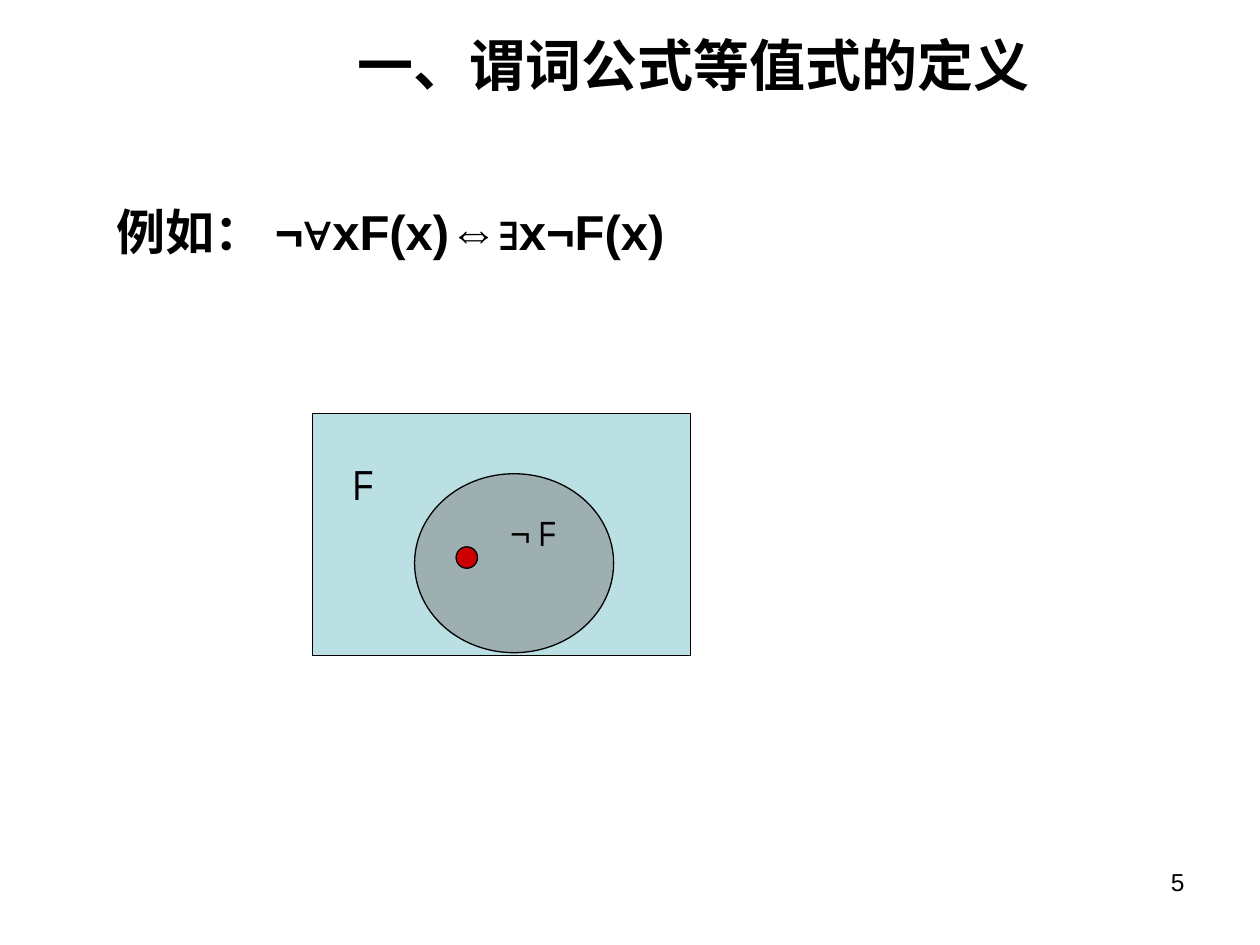
from lxml.etree import SubElement
from pptx import Presentation
from pptx.dml.color import RGBColor
from pptx.enum.shapes import MSO_SHAPE
from pptx.enum.text import MSO_ANCHOR, MSO_AUTO_SIZE, PP_ALIGN
from pptx.oxml.ns import qn
from pptx.util import Inches, Pt

BLACK = RGBColor(0x00, 0x00, 0x00)
UNIVERSE_BLUE = RGBColor(0xBB, 0xE0, 0xE3)
SUBSET_GRAY = RGBColor(0x80, 0x80, 0x80)
ELEMENT_RED = RGBColor(0xCC, 0x00, 0x00)


def inches(*lengths):
    return [Inches(length) for length in lengths]


def style(font, size, name="Arial", bold=False):
    font.name = name
    font.size = Pt(size)
    font.bold = bold
    font.color.rgb = BLACK


def set_title(slide, text, box):
    title = slide.shapes.title
    title.left, title.top, title.width, title.height = inches(*box)
    frame = title.text_frame
    frame.text = text
    frame.auto_size = MSO_AUTO_SIZE.NONE
    frame.vertical_anchor = MSO_ANCHOR.MIDDLE
    paragraph = frame.paragraphs[0]
    paragraph.alignment = PP_ALIGN.CENTER
    style(paragraph.font, 32, bold=True)


def add_text(shapes, text, box, size, name="Arial", bold=False,
             align=PP_ALIGN.LEFT):
    frame = shapes.add_textbox(*inches(*box)).text_frame
    frame.word_wrap = True
    paragraph = frame.paragraphs[0]
    paragraph.text = text
    paragraph.alignment = align
    style(paragraph.font, size, name, bold)
    return paragraph


def add_region(shapes, preset, box, color, opacity=100):
    region = shapes.add_shape(preset, *inches(*box))
    region.shadow.inherit = False
    region.fill.solid()
    region.fill.fore_color.rgb = color
    region.line.color.rgb = BLACK
    region.line.width = Pt(0.75)
    if opacity < 100:
        tint = region.fill._xPr.find(qn("a:solidFill"))[0]
        SubElement(tint, qn("a:alpha")).set("val", str(opacity * 1000))


def add_venn_diagram(slide):
    venn = slide.shapes.add_group_shape().shapes
    # Universe, the subset inside it and one element of the subset
    add_region(venn, MSO_SHAPE.RECTANGLE, (2.48, 3.28, 3, 1.92), UNIVERSE_BLUE)
    add_region(venn, MSO_SHAPE.OVAL, (3.29, 3.76, 1.58, 1.42), SUBSET_GRAY, 50)
    add_region(venn, MSO_SHAPE.OVAL, (3.62, 4.34, 0.17, 0.17), ELEMENT_RED)
    # Set labels
    add_text(venn, "F", (2.7, 3.59, 0.42, 0.5), 24, "Arial Narrow")
    negation = add_text(venn, "¬", (3.95, 4.01, 0.75, 0.44), 20)
    predicate = negation.add_run()
    predicate.text = " F"
    predicate.font.name = "Arial Narrow"


def main():
    deck = Presentation()
    deck.slide_width, deck.slide_height = inches(10, 7.5)
    slide = deck.slides.add_slide(deck.slide_layouts[5])

    set_title(slide, "一、谓词公式等值式的定义", (2.16, 0.28, 6.69, 0.46))

    # Example formula
    example = add_text(slide.shapes, "例如： ¬∀xF(x)⇔∃x¬F(x)",
                       (0.83, 1.39, 8.66, 4.95), 28, bold=True,
                       align=PP_ALIGN.JUSTIFY)
    example.line_spacing = 1.35

    add_venn_diagram(slide)

    # Slide number
    add_text(slide.shapes, "5", (7.17, 6.83, 2.33, 0.52), 14,
             align=PP_ALIGN.RIGHT)

    deck.save("out.pptx")


if __name__ == "__main__":
    main()
